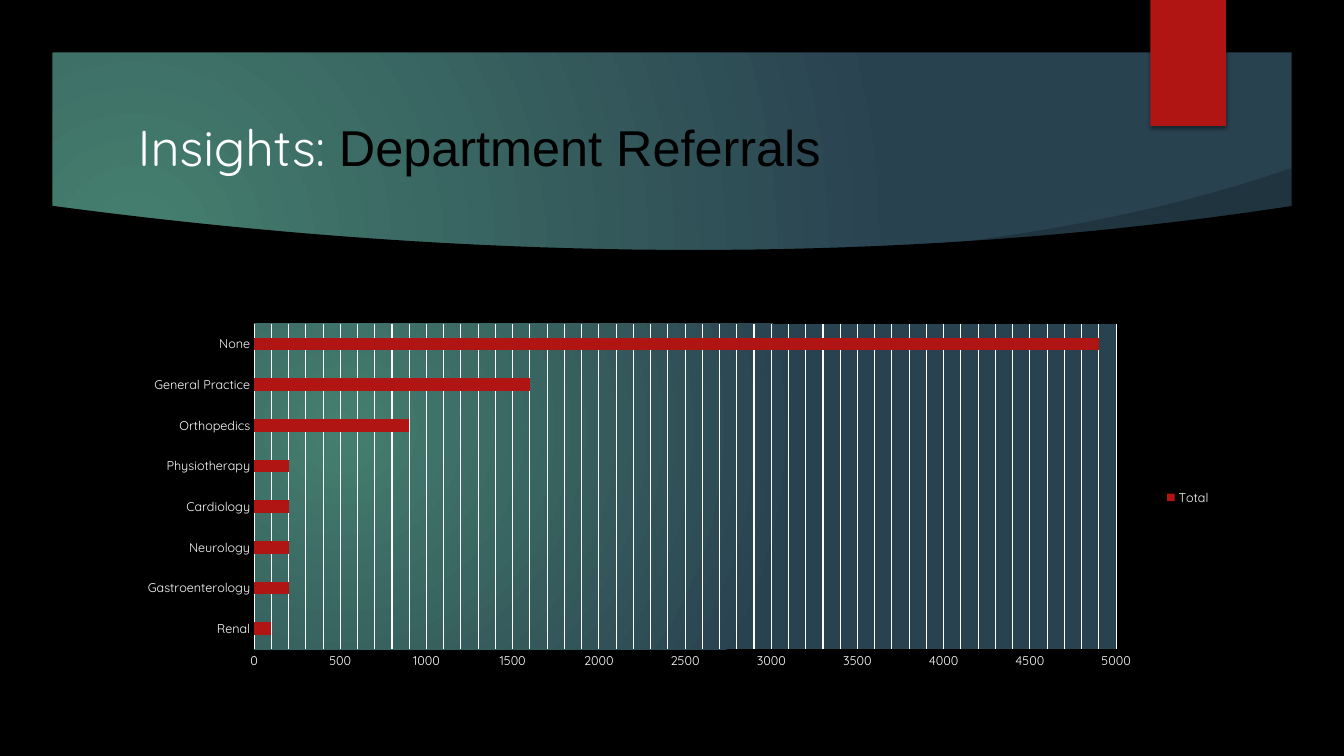
from collections import namedtuple

from pptx import Presentation
from pptx.chart.data import CategoryChartData
from pptx.dml.color import RGBColor
from pptx.enum.chart import XL_CHART_TYPE, XL_LEGEND_POSITION, XL_TICK_MARK
from pptx.enum.shapes import MSO_SHAPE
from pptx.enum.text import MSO_ANCHOR
from pptx.oxml import parse_xml
from pptx.oxml.ns import nsdecls, qn
from pptx.util import Inches, Pt

Box = namedtuple("Box", "left top width height")
SLIDE = Box(0, 0, 13.33, 7.5)
TITLE = Box(1.27, 1.07, 9.65, 0.77)
CHART = Box(1.22, 2.64, 10.89, 4.59)
PLOT = Box(1.3, 0.57, 8.55, 3.23)
RIBBON = Box(11.41, 0, 0.75, 1.25)
GREEN, BLUE, RED, BLACK, WHITE = "457F6E", "294250", "B01513", "000000", "FFFFFF"
MIST = "5F9C9D"
BACKDROP_STOPS = [(0, GREEN, 100), (100, BLUE, 100)]
HALOS = [
    (Box(9.58, 2, 3.08, 3.08), [(0, MIST, 7), (36, MIST, 6), (69, MIST, 0)]),
    (Box(9.58, 6.42, 1.08, 1.08), [(0, MIST, 14), (36, MIST, 7), (66, MIST, 0)]),
    (Box(0, 2.92, 4.58, 4.58), [(0, MIST, 11), (36, MIST, 10), (75, MIST, 0)]),
]
REFERRALS = {
    "Renal": 100, "Gastroenterology": 200, "Neurology": 200, "Cardiology": 200,
    "Physiotherapy": 200, "Orthopedics": 900, "General Practice": 1600, "None": 4900,
}


def color(value):
    """Turn a hex string into a colour."""
    return RGBColor.from_string(value)


def apply(target, formats):
    """Set each attribute named in the dict."""
    for name, value in formats.items():
        setattr(target, name, value)


def style_font(font, size, name, hue):
    """Give a font its size, face and colour."""
    apply(font, {"size": Pt(size), "name": name})
    font.color.rgb = color(hue)


def place(box):
    """Convert a box in inches to slide lengths."""
    return [Inches(length) for length in box]


def radial(stops, center):
    """Build a radial gradient from stops of position, hue and opacity."""
    marks = "".join(
        f'<a:gs pos="{spot * 1000}"><a:srgbClr val="{hue}"><a:alpha val="{opacity * 1000}"/>'
        '</a:srgbClr></a:gs>' for spot, hue, opacity in stops)
    sides = " ".join(f'{side}="{share * 1000}"' for side, share in zip("ltrb", center))
    return parse_xml(f'<a:gradFill {nsdecls("a")} rotWithShape="1"><a:gsLst>{marks}</a:gsLst>'
                     f'<a:path path="circle"><a:fillToRect {sides}/></a:path></a:gradFill>')


def glow():
    """Build the off-centre gradient from green to blue."""
    return radial(BACKDROP_STOPS, (45, 65, 125, 100))


def paint(shape, hue):
    """Fill a shape with one colour, without line or shadow."""
    shape.shadow.inherit = False
    shape.fill.solid()
    shape.fill.fore_color.rgb = color(hue)
    shape.line.fill.background()
    return shape


def arc(start, bend, end, steps=40):
    """Sample a quadratic curve from start to end."""
    shares = [step / steps for step in range(steps + 1)]
    return [tuple((1 - t) ** 2 * a + 2 * t * (1 - t) * b + t * t * c
                  for a, b, c in zip(start, bend, end)) for t in shares]


def add_outline(page, box, points, hue):
    """Draw a closed outline whose points are inches from the box corner."""
    spots = [(Inches(box.left + x), Inches(box.top + y)) for x, y in points]
    builder = page.shapes.build_freeform(*spots[0])
    builder.add_line_segments(spots[1:], close=True)
    return paint(builder.convert_to_shape(), hue)


def add_backdrop(page, box):
    """Lay the gradient, the halos, the curved banner edge and the black frame."""
    page.background.fill.solid()
    holder = page.element.find(".//" + qn("p:bgPr"))
    holder.replace(holder[0], glow())
    for spot, stops in HALOS:
        halo = paint(page.shapes.add_shape(MSO_SHAPE.OVAL, *place(spot)), MIST)
        format_part = halo.element.spPr
        format_part.replace(format_part.find(qn("a:solidFill")), radial(stops, [50] * 4))
    sweep = arc((9.3, 2.43), (11.32, 2.19), (12.83, 1.66))
    shade = add_outline(page, box, sweep + [(12.89, 2.14), (9.34, 2.5)], BLACK)
    tint = shade.element.spPr.find(".//" + qn("a:srgbClr"))
    tint.append(parse_xml(f'<a:alpha {nsdecls("a")} val="20000"/>'))
    edge = arc((0.5, 2.04), (7.1, 2.92), (12.84, 2.04))
    add_outline(page, box, edge + [(12.84, 7), (0.5, 7)], BLACK)
    frame = paint(page.shapes.add_shape(MSO_SHAPE.FRAME, *place(box)), BLACK)
    frame.adjustments[0] = 0.52 / box.height


def add_ribbon(page, box):
    """Hang the red ribbon with its soft shadow."""
    ribbon = paint(page.shapes.add_shape(MSO_SHAPE.RECTANGLE, *place(box)), RED)
    effects = ribbon.element.spPr.find(qn("a:effectLst"))
    effects.append(parse_xml(
        f'<a:outerShdw {nsdecls("a")} blurRad="{Pt(3)}" dist="{Pt(2)}" dir="5400000" '
        f'rotWithShape="0"><a:srgbClr val="{BLACK}"><a:alpha val="45000"/></a:srgbClr>'
        '</a:outerShdw>'))


def add_title(page, box):
    """Write the two-tone heading."""
    frame = page.shapes.add_textbox(*place(box)).text_frame
    apply(frame, {"word_wrap": True, "vertical_anchor": MSO_ANCHOR.MIDDLE})
    para = frame.paragraphs[0]
    for text, name, hue in (("Insights: ", "Quicksand", WHITE),
                            ("Department Referrals", "Arial", BLACK)):
        span = para.add_run()
        span.text = text
        style_font(span.font, 36, name, hue)


def style_plot_area(chart, box, plot):
    """Fix the inner plot box and fill it with the gradient."""
    area = chart.element.find(".//" + qn("c:plotArea"))
    for layout in area.findall(qn("c:layout")):
        area.remove(layout)
    modes = '<c:layoutTarget val="inner"/><c:xMode val="edge"/><c:yMode val="edge"/>'
    sizes = (box.width, box.height) * 2
    shares = "".join(f'<c:{key} val="{length / size}"/>'
                     for key, length, size in zip("xywh", plot, sizes))
    area.insert(0, parse_xml(f'<c:layout {nsdecls("c")}><c:manualLayout>{modes}{shares}'
                             '</c:manualLayout></c:layout>'))
    fill = parse_xml(f'<c:spPr {nsdecls("c", "a")}/>')
    fill.append(glow())
    area.append(fill)


def add_referral_chart(page, box):
    """Chart the referrals of each department as bars."""
    data = CategoryChartData(number_format="0")
    data.categories = list(REFERRALS)
    data.add_series("Total", list(REFERRALS.values()))
    chart = page.shapes.add_chart(XL_CHART_TYPE.BAR_CLUSTERED, *place(box), data).chart
    apply(chart, {"has_title": False, "has_legend": True})
    style_font(chart.font, 10, "Quicksand", WHITE)
    apply(chart.legend, {"position": XL_LEGEND_POSITION.RIGHT, "include_in_layout": False})
    apply(chart.plots[0], {"gap_width": 219, "vary_by_categories": False})
    bars = chart.plots[0].series[0]
    bars.format.fill.solid()
    bars.format.fill.fore_color.rgb = color(RED)
    ticks = {"major_tick_mark": XL_TICK_MARK.NONE, "minor_tick_mark": XL_TICK_MARK.NONE}
    names, scale = chart.category_axis, chart.value_axis
    apply(names, {**ticks, "has_major_gridlines": False})
    apply(scale, {**ticks, "minimum_scale": 0, "maximum_scale": 5000, "major_unit": 500,
                  "minor_unit": 100, "has_major_gridlines": True,
                  "has_minor_gridlines": True})
    apply(scale.tick_labels, {"number_format": "0", "number_format_is_linked": False})
    for part in (names.tick_labels, scale.tick_labels, chart.legend):
        style_font(part.font, 9, "Quicksand", WHITE)
    for line in (names.format.line, scale.major_gridlines.format.line):
        line.width = Pt(0.75)
        line.color.rgb = color(WHITE)
    minor = chart.element.find(".//" + qn("c:minorGridlines"))
    minor.append(parse_xml(
        f'<c:spPr {nsdecls("c", "a")}><a:ln w="{Pt(0.75)}"><a:solidFill>'
        f'<a:srgbClr val="{WHITE}"/></a:solidFill></a:ln></c:spPr>'))
    scale.format.line.fill.background()
    style_plot_area(chart, box, PLOT)


def main():
    """Build the slide and save the deck."""
    deck = Presentation()
    apply(deck, {"slide_width": Inches(SLIDE.width), "slide_height": Inches(SLIDE.height)})
    page = deck.slides.add_slide(deck.slide_layouts[6])
    add_backdrop(page, SLIDE)
    add_ribbon(page, RIBBON)
    add_title(page, TITLE)
    add_referral_chart(page, CHART)
    deck.save("out.pptx")


if __name__ == "__main__":
    main()
